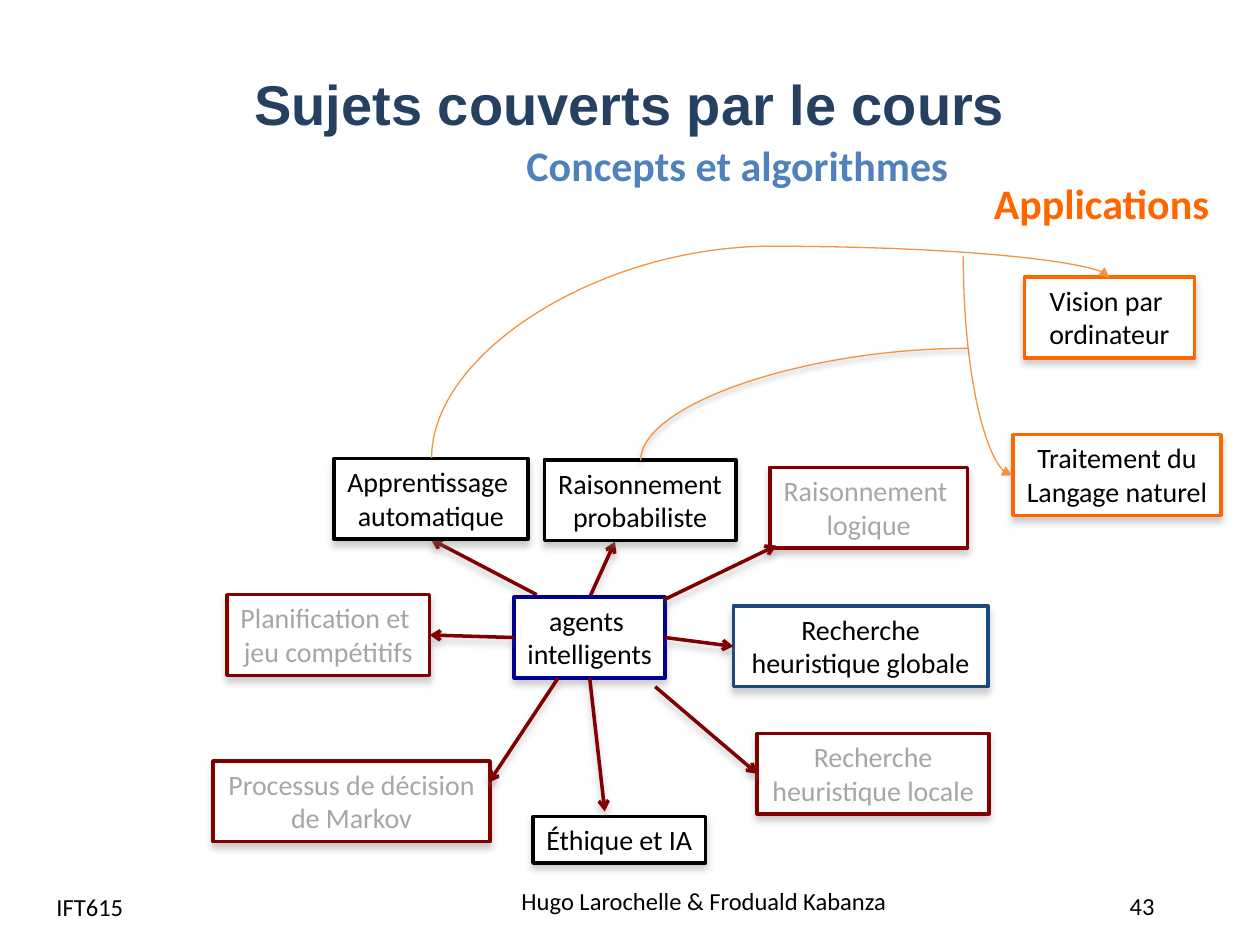
from lxml import etree
from pptx import Presentation
from pptx.dml.color import RGBColor
from pptx.enum.shapes import MSO_CONNECTOR, MSO_SHAPE
from pptx.enum.text import MSO_ANCHOR, PP_ALIGN
from pptx.oxml.ns import qn
from pptx.util import Inches, Pt

STRAIGHT, CURVE = MSO_CONNECTOR.STRAIGHT, MSO_CONNECTOR.CURVE
RECTANGLE = MSO_SHAPE.RECTANGLE
TOP, MIDDLE = MSO_ANCHOR.TOP, MSO_ANCHOR.MIDDLE
LEFT, CENTER = PP_ALIGN.LEFT, PP_ALIGN.CENTER

BLACK = RGBColor(0x00, 0x00, 0x00)
WHITE = RGBColor(0xFF, 0xFF, 0xFF)
GREY = RGBColor(0xA6, 0xA6, 0xA6)
MAROON = RGBColor(0x80, 0x00, 0x00)
NAVY = RGBColor(0x00, 0x00, 0x90)
BLUE = RGBColor(0x1F, 0x49, 0x7D)
LIGHT_BLUE = RGBColor(0x4F, 0x81, 0xBD)
TITLE_BLUE = RGBColor(0x25, 0x40, 0x61)
ORANGE = RGBColor(0xFF, 0x66, 0x00)
CURVE_ORANGE = RGBColor(0xF6, 0x92, 0x40)

# Shadows: colour, opacity %, blur and distance in points
SOFT_SHADOW = ("808080", 40, 4, 3)
CURVE_SHADOW = ("000000", 38, 3.1, 1.6)

SMALL = {"name": "Calibri", "size": Pt(14), "color": BLACK}
HEADING = {"name": "Calibri", "size": Pt(24), "bold": True}
TITLE = {"name": "Arial", "size": Pt(32), "bold": True, "color": TITLE_BLUE}

# text, (left, top, width, height), font, alignment, anchor, wrap
LABELS = [
    ("Sujets couverts par le cours", (0.25, 0.43, 9.5, 0.77), TITLE, CENTER, MIDDLE, True),
    ("Hugo Larochelle & Froduald Kabanza", (4.04, 6.95, 3.45, 0.4), SMALL, LEFT, MIDDLE, True),
    ("43", (8.66, 7.06, 0.81, 0.26), SMALL, CENTER, MIDDLE, True),
    ("IFT615", (0.35, 7, 2.33, 0.4), SMALL, LEFT, MIDDLE, True),
    ("Applications", (7.79, 1.36, 1.93, 0.5), {**HEADING, "color": ORANGE}, LEFT, TOP, False),
    ("Concepts et algorithmes", (4.08, 1.06, 3.58, 0.5), {**HEADING, "color": LIGHT_BLUE}, LEFT, TOP, False),
]

# lines, (left, top, width), outline, text colour, wrap
TOPICS = [
    (["agents ", "intelligents"], (4.08, 4.74, 1.2), NAVY, BLACK, False),
    (["Raisonnement ", "logique"], (6.11, 3.71, 1.57), MAROON, GREY, False),
    (["Apprentissage ", "automatique"], (2.65, 3.64, 1.54), BLACK, BLACK, False),
    (["Processus de décision ", "de Markov"], (1.69, 6.04, 2.2), MAROON, GREY, True),
    (["Planification et ", "jeu compétitifs"], (1.8, 4.72, 1.61), MAROON, GREY, False),
    (["Recherche heuristique locale"], (6.01, 5.82, 1.84), MAROON, GREY, True),
    (["Recherche heuristique globale"], (5.82, 4.81, 2.02), BLUE, BLACK, True),
    (["Éthique et IA"], (4.23, 6.48, 1.37), BLACK, BLACK, False),
    (["Raisonnement", "probabiliste"], (4.32, 3.65, 1.52), BLACK, BLACK, False),
    (["Vision par ", "ordinateur"], (8.13, 2.2, 1.35), ORANGE, BLACK, True),
    (["Traitement du", "Langage naturel"], (8.04, 3.45, 1.65), ORANGE, BLACK, False),
]
TWO_LINES, ONE_LINE = 0.64, 0.37
ONE_LINE_TOPICS = {"Éthique et IA"}

# x and y of the start, x and y of the tip
ARROWS_BEHIND = [(4.68, 4.74, 4.88, 4.3), (4.26, 4.72, 3.42, 4.28)]
ARROWS_IN_FRONT = [
    (5.28, 5.06, 5.82, 5.13),
    (5.2, 5.45, 6.01, 6.14),
    (4.68, 5.38, 4.8, 6.44),
    (4.08, 5.06, 3.41, 5.04),
    (4.43, 5.38, 3.88, 6.21),
    (5.27, 4.76, 6.16, 4.33),
]

# unrotated (left, top, width, height), degrees, flips, preset, bend, head, shadow
CURVES = [
    ((5.4, 0.23, 1.43, 5.38), 90, "HV", "curvedConnector3", 1.175, "triangle", None),
    ((6.97, 2.71, 1.74, 0.39), 270, "H", "curvedConnector2", None, "triangle", None),
    ((5.94, 1.91, 0.89, 2.6), 90, "HV", "curvedConnector2", None, None, CURVE_SHADOW),
]


def set_shadow(shape, shadow):
    """Give the shape a downward shadow, or none at all."""
    properties = shape._element.spPr
    for old in properties.findall(qn("a:effectLst")):
        properties.remove(old)
    effects = etree.SubElement(properties, qn("a:effectLst"))
    if shadow:
        color, opacity, blur, distance = shadow
        outer = etree.SubElement(effects, qn("a:outerShdw"), blurRad=str(Pt(blur)),
                                 dist=str(Pt(distance)), dir="5400000", rotWithShape="0")
        tint = etree.SubElement(outer, qn("a:srgbClr"), val=color)
        etree.SubElement(tint, qn("a:alpha"), val=str(opacity * 1000))


def write(shape, lines, font, align, anchor, wrap):
    frame = shape.text_frame
    frame.word_wrap = wrap
    frame.vertical_anchor = anchor
    for number, line in enumerate(lines):
        para = frame.add_paragraph() if number else frame.paragraphs[0]
        para.alignment = align
        span = para.add_run()
        span.text = line
        for name, value in font.items():
            if name == "color":
                span.font.color.rgb = value
            else:
                setattr(span.font, name, value)


def add_topic(page, lines, place, outline, color, wrap):
    height = ONE_LINE if lines[0] in ONE_LINE_TOPICS else TWO_LINES
    box = page.shapes.add_shape(RECTANGLE, *map(Inches, (*place, height)))
    box.fill.solid()
    box.fill.fore_color.rgb = WHITE
    box.line.color.rgb = outline
    box.line.width = Pt(2)
    set_shadow(box, SOFT_SHADOW)
    font = {"name": "Calibri", "size": Pt(16), "color": color}
    write(box, lines, font, CENTER, TOP, wrap)


def add_link(page, kind, ends, color, width, head, shadow):
    link = page.shapes.add_connector(kind, *map(Inches, ends))
    link.line.color.rgb = color
    link.line.width = Pt(width)
    if head:
        etree.SubElement(link.line._get_or_add_ln(), qn("a:tailEnd"), type=head)
    set_shadow(link, shadow)
    return link


def add_curve(page, frame, degrees, flips, preset, bend, head, shadow):
    left, top, width, height = frame
    ends = (left, top, left + width, top + height)
    link = add_link(page, CURVE, ends, CURVE_ORANGE, 0.75, head, shadow)
    transform = link._element.spPr.find(qn("a:xfrm"))
    transform.set("rot", str(degrees * 60000))
    for axis in flips:
        transform.set("flip" + axis, "1")
    geometry = link._element.spPr.find(qn("a:prstGeom"))
    geometry.set("prst", preset)
    if bend:
        guides = geometry.find(qn("a:avLst"))
        etree.SubElement(guides, qn("a:gd"), name="adj1", fmla=f"val {round(bend * 100000)}")


def main():
    deck = Presentation()
    deck.slide_width, deck.slide_height = Inches(10), Inches(7.5)
    page = deck.slides.add_slide(deck.slide_layouts[6])
    for text, place, *style in LABELS:
        write(page.shapes.add_textbox(*map(Inches, place)), [text], *style)
    for ends in ARROWS_BEHIND:
        add_link(page, STRAIGHT, ends, MAROON, 2, "arrow", SOFT_SHADOW)
    for topic in TOPICS:
        add_topic(page, *topic)
    for ends in ARROWS_IN_FRONT:
        add_link(page, STRAIGHT, ends, MAROON, 2, "arrow", SOFT_SHADOW)
    for curve in CURVES:
        add_curve(page, *curve)
    deck.save("out.pptx")


if __name__ == "__main__":
    main()
